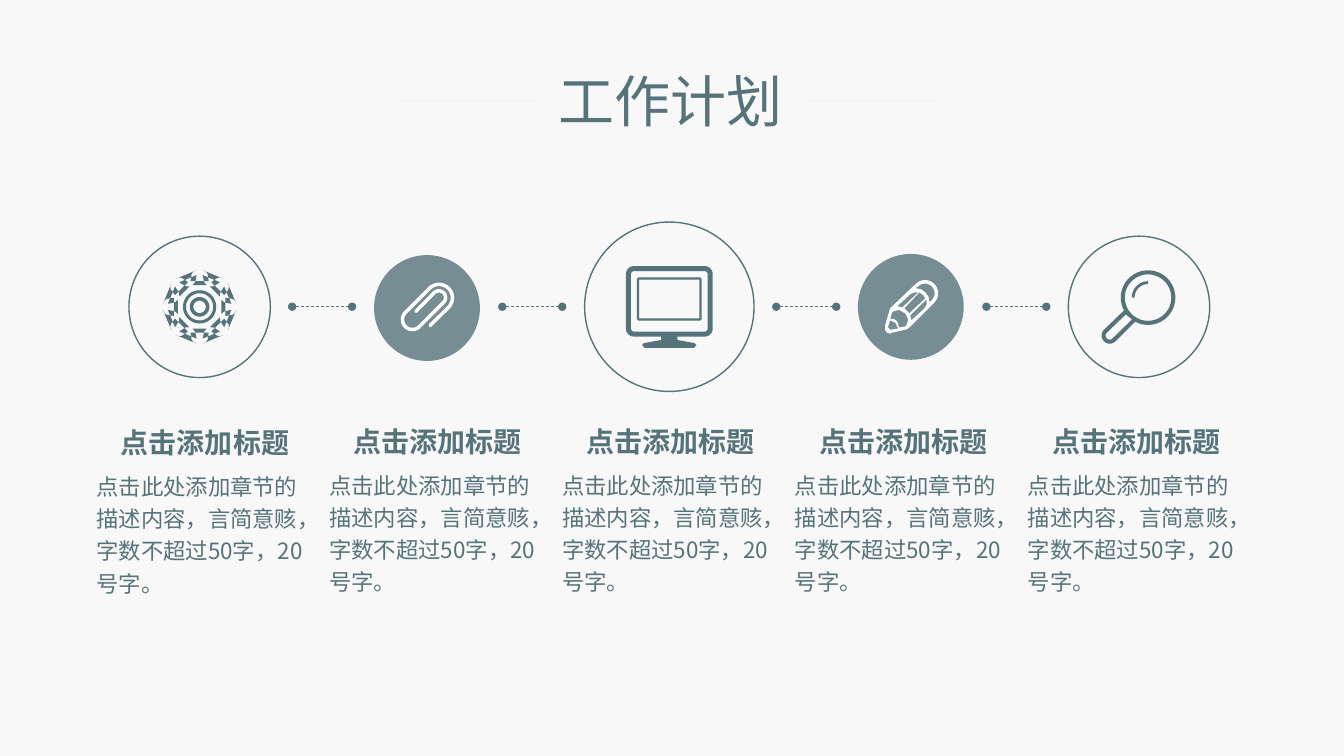
from math import cos, radians, sin

from lxml.etree import SubElement
from pptx import Presentation
from pptx.dml.color import RGBColor
from pptx.enum.dml import MSO_LINE
from pptx.enum.lang import MSO_LANGUAGE_ID as LANG
from pptx.enum.shapes import MSO_CONNECTOR as CONN, MSO_SHAPE as SHAPE
from pptx.enum.text import MSO_AUTO_SIZE as AUTO, PP_ALIGN as ALIGN
from pptx.oxml.ns import qn
from pptx.util import Pt

COLORS = {"teal": "56737A", "white": "FFFFFF", "paper": "F8F8F8"}
FONT = "Noto Sans CJK SC"
HEADING = "点击添加标题"
DESCRIPTION = "点击此处添加章节的描述内容，言简意赅，字数不超过50字，20号字。"


def arc(cx, cy, r, start, end, steps=24):
    angles = [radians(start + (end - start) * i / steps) for i in range(steps + 1)]
    return [(cx + r * cos(a), cy + r * sin(a)) for a in angles]


def ring(cx, cy, outer, inner):
    return [arc(cx, cy, r, 0, 360, 48) for r in (outer, inner)]


def rounded(left, top, width, height, r):
    right, bottom = left + width, top + height
    corners = [(right - r, top + r, -90), (right - r, bottom - r, 0),
               (left + r, bottom - r, 90), (left + r, top + r, 180)]
    return [p for x, y, a in corners for p in arc(x, y, r, a, a + 90, 6)]


def frame(left, top, width, height, rim, r, inner_r):
    return [rounded(left, top, width, height, r),
            rounded(left + rim, top + rim, width - 2 * rim, height - 2 * rim, inner_r)]


def cog(half_tooth):
    tooth = [(-a, r) for a, r in half_tooth] + half_tooth[::-1]
    return [(r * cos(radians(a + 45 * i)), r * sin(radians(a + 45 * i)))
            for i in range(8) for a, r in tooth]


class Deck:
    def __init__(self):
        self.prs = Presentation()
        self.prs.slide_width, self.prs.slide_height = Pt(960), Pt(540)
        self.slide = self.prs.slides.add_slide(self.prs.slide_layouts[6])
        self.shapes = self.slide.shapes
        self.paint(self.slide.background.fill, "paper")

    def paint(self, fill, color):
        if color:
            fill.solid()
            fill.fore_color.rgb = RGBColor.from_string(COLORS[color])
        else:
            fill.background()

    def fade(self, shape, percent):
        color = next(shape._element.spPr.iter(qn("a:srgbClr")))
        SubElement(color, qn("a:alpha")).set("val", str(percent * 1000))

    def dress(self, shape, fill, line, width):
        shape.shadow.inherit = False
        self.paint(shape.fill, fill)
        self.paint(shape.line.fill, line)
        if line:
            shape.line.width = Pt(width)

    def circle(self, cx, cy, size, solid):
        disc = self.shapes.add_shape(SHAPE.OVAL, Pt(cx - size / 2), Pt(cy - size / 2),
                                     Pt(size), Pt(size))
        if solid:
            self.dress(disc, "teal", None, 0)
            self.fade(disc, 80)
        else:
            self.dress(disc, None, "teal", 1)

    def outline(self, center, contours, fill="teal", line=None, width=0.75):
        cx, cy = center
        builder = None
        for contour in contours:
            points = [(Pt(cx + x), Pt(cy + y)) for x, y in contour]
            if builder:
                builder.move_to(*points[0])
            else:
                builder = self.shapes.build_freeform(*points[0], scale=1.0)
            builder.add_line_segments(points[1:], close=bool(fill))
        drawing = builder.convert_to_shape()
        self.dress(drawing, fill, line, width)
        if not fill:
            drawing.line._get_or_add_ln().set("cap", "rnd")

    def rule(self, x, y, length):
        link = self.shapes.add_connector(CONN.STRAIGHT, Pt(x), Pt(y), Pt(x + length), Pt(y))
        self.paint(link.line.fill, "teal")
        link.line.width = Pt(0.5)
        SubElement(link._element.spPr, qn("a:effectLst"))
        return link

    def dotted_link(self, x, y, length):
        link = self.rule(x, y, length)
        link.line.dash_style = MSO_LINE.DASH
        ln = link.line._get_or_add_ln()
        for end in ("a:headEnd", "a:tailEnd"):
            SubElement(ln, qn(end)).set("type", "oval")

    def text(self, x, y, w, h, words, size, bold=False, align=ALIGN.CENTER, spacing=None):
        frame_ = self.shapes.add_textbox(Pt(x), Pt(y), Pt(w), Pt(h)).text_frame
        frame_.word_wrap = True
        frame_.auto_size = AUTO.SHAPE_TO_FIT_TEXT
        paragraph = frame_.paragraphs[0]
        paragraph.alignment = align
        if spacing:
            paragraph.line_spacing = spacing
        run = paragraph.add_run()
        run.text = words
        font = run.font
        font.size, font.bold, font.name = Pt(size), bold, FONT
        font.language_id = LANG.SIMPLIFIED_CHINESE
        self.paint(font.fill, "teal")
        SubElement(run._r.get_or_add_rPr(), qn("a:ea")).set("typeface", FONT)

    def gear(self, center):
        self.outline(center, [cog([(4.7, 26.3), (10, 25.7), (13.8, 24.1), (19.4, 19.5)]),
                              cog([(5.4, 22.8), (10.4, 17.9), (18, 16.3)])])
        for outer, inner in ((11.5, 10.1), (6.6, 4.8)):
            self.outline(center, ring(0, 0, outer, inner), line="teal")

    def paperclip(self, center):
        wire = [(2.2, 12.6), *arc(8.6, -7.2, 9.6, 45, -135),
                *arc(-10.4, 8.3, 7.1, -135, -315),
                *arc(8.5, -7.4, 4.8, 45, -135), (-7.9, 2.5)]
        self.outline(center, [wire], fill=None, line="white", width=2.5)

    def monitor(self, center):
        stand = [(5.8, 21.4), (5.8, 23.8), (18, 26), (19.4, 27.4), (17.6, 29.5)]
        mirrored = [(-x, y) for x, y in stand[::-1]]
        self.outline(center, frame(-23.1, -21, 46.2, 31, 1.6, 1.6, 0.2))
        self.outline(center, frame(-31, -29, 62, 50.4, 3.6, 5.8, 2.2) + [stand + mirrored])

    def pencil(self, center):
        body = [*arc(10.1, -9.7, 9.4, 45, -135), (-14.8, 1.1), (-15.5, 3.2), (-18.4, 13.3),
                *arc(-14.8, 15.5, 3.6, 180, 90, 6), (-13.3, 18.4), (-3.2, 16.2), (-1.1, 14.8)]
        eraser = [*arc(10.1, -9.7, 6.9, -135, 45), (13.3, -3.2), (12.7, -7), (10.4, -10.4),
                  (7.2, -12.6), (3.2, -13.3)]
        wood = [(-8.3, 14.8), (-9.7, 10.4), (-11.5, 9), (-14.8, 8.3), (-13.3, 4),
                (-12.6, 3.2), (-8.3, 2.2), (-4, 4.7), (-1.8, 9), (-3.2, 13.3), (-4, 14)]
        tip = [(-13.3, 16.2), (-14.8, 16.2), (-16.2, 14.8), (-16.2, 14), (-14.8, 9.7),
               (-11.2, 11.2), (-9, 15.5)]
        stripes = [[(-6.1, 0.4), (-9.7, -0.4), (-0.4, -9), (2.2, -10.2), (5.4, -10.4)],
                   [(-1.1, 4.7), (-2.5, 3.2), (-4.7, 1.1), (6.1, -10.4), (9, -8.3),
                    (10.4, -6.1)],
                   [(0.4, 9.7), (-0.4, 6.1), (11.2, -5.4), (11.2, -1.5), (9.7, 1.1)]]
        self.outline(center, [body, eraser, wood, tip, *stripes], fill="white")

    def magnifier(self, center):
        lens = 6.5, -6.6
        grip = -20.9, 20.5
        body = arc(*lens, 19.5, 118, -208, 48) + arc(*grip, 5.8, 225, 45)
        hollow = arc(*grip, 2.9, 225, 45) + [(-5, 9), (-9.4, 5.4)]
        self.outline(center, [body, arc(*lens, 16.6, 0, 360, 48), hollow])
        self.outline(center, [arc(*lens, 11.7, 180, 270) + arc(*lens, 9.7, 270, 180)])


def main():
    deck = Deck()
    deck.text(380, 44, 197.4, 55.4, "工作计划", 40)
    for x in (286.6, 576):
        deck.fade(deck.rule(x, 72, 95), 6)

    for x in (208.7, 358.8, 554.5, 704.6):
        deck.dotted_link(x, 219.1, 42.8)

    steps = [
        (142.6, 219.2, 101, False, deck.gear, 300.4),
        (305, 220, 75.6, True, deck.paperclip, 299.5),
        (478.1, 219.1, 121, False, deck.monitor, 299.5),
        (650.6, 219.2, 75.6, True, deck.pencil, 299.5),
        (813.6, 219.2, 101, False, deck.magnifier, 299.5),
    ]
    for i, (cx, cy, size, solid, icon, heading_top) in enumerate(steps):
        deck.circle(cx, cy, size, solid)
        icon((cx, cy))
        left = 61.8 + 166.3 * i
        deck.text(left, heading_top + 30.2, 169.2, 100, DESCRIPTION, 16,
                  align=ALIGN.LEFT, spacing=1.2)
        deck.text(left + 9.4, heading_top, 150.5, 32, HEADING, 20, bold=True)

    deck.prs.save("out.pptx")


if __name__ == "__main__":
    main()
